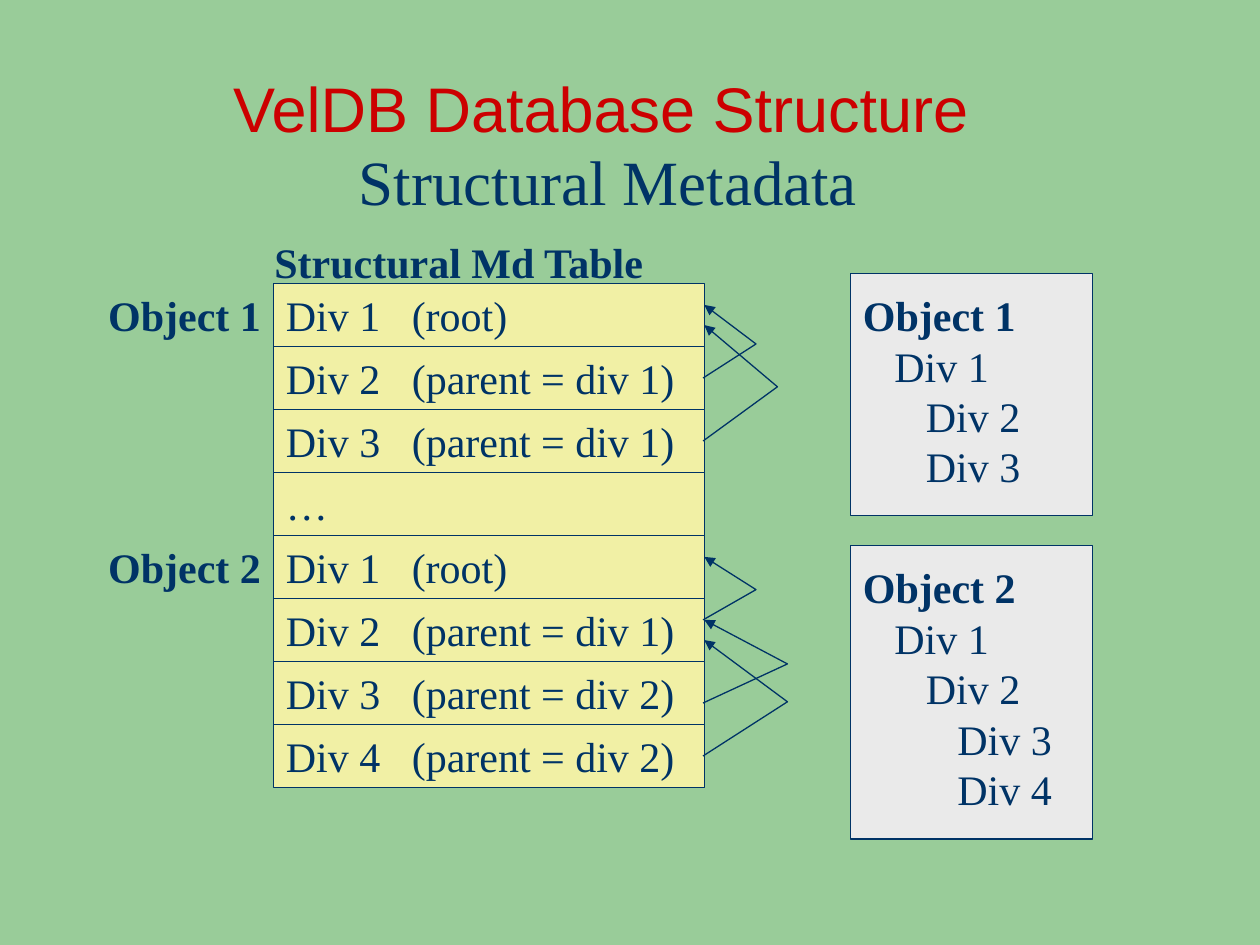
from pptx import Presentation
from pptx.dml.color import RGBColor
from pptx.enum.shapes import MSO_SHAPE
from pptx.enum.text import MSO_ANCHOR, MSO_AUTO_SIZE, PP_ALIGN
from pptx.oxml.ns import qn
from pptx.util import Inches, Pt
from lxml import etree

GREEN = RGBColor(0x99, 0xCC, 0x99)
NAVY = RGBColor(0x00, 0x33, 0x66)
RED = RGBColor(0xCC, 0x00, 0x00)
CREAM = RGBColor(0xF1, 0xF0, 0xA5)
GREY = RGBColor(0xEA, 0xEA, 0xEA)
RECT = MSO_SHAPE.RECTANGLE
TOP, MIDDLE = MSO_ANCHOR.TOP, MSO_ANCHOR.MIDDLE
LEFT, RIGHT = PP_ALIGN.LEFT, PP_ALIGN.RIGHT
FIXED = MSO_AUTO_SIZE.NONE

ROW_X, ROW_Y, ROW_W, ROW_H = 2.17, 2.25, 3.42, 0.5
NOTE_X, EDGE = 3.17, 5.58
STEP = 0.25

ROWS = [
    ("Div 1", "(root)"),
    ("Div 2", "(parent = div 1)"),
    ("Div 3", "(parent = div 1)"),
    ("…", ""),
    ("Div 1", "(root)"),
    ("Div 2", "(parent = div 1)"),
    ("Div 3", "(parent = div 2)"),
    ("Div 4", "(parent = div 2)"),
]
ARROWS = [
    (3, (6, 2.73), 2.42),
    (3.5, (6.17, 3.07), 2.58),
    (4.92, (6, 4.68), 4.42),
    (5.58, (6.25, 5.27), 4.92),
    (6, (6.25, 5.57), 5.08),
]
CARDS = [
    (2.17, 1.92, [("Object 1", 0), ("Div 1", 1), ("Div 2", 2), ("Div 3", 2)]),
    (4.33, 2.33, [("Object 2", 0), ("Div 1", 1), ("Div 2", 2),
                  ("Div 3", 3), ("Div 4", 3)]),
]


def write(para, text, size=24, font="Times New Roman", color=NAVY,
          bold=False, align=LEFT, level=0):
    para.alignment = align
    if level:
        props = para._p.get_or_add_pPr()
        props.set("marL", str(Inches(STEP * level)))
        props.set("indent", "0")
    run = para.add_run()
    run.text = text
    run.font.size = Pt(size)
    run.font.name = font
    run.font.bold = bold
    run.font.color.rgb = color


def set_frame(shape, anchor=TOP, wrap=False):
    frame = shape.text_frame
    frame.auto_size = FIXED
    frame.word_wrap = wrap
    frame.vertical_anchor = anchor
    return frame


def add_label(shapes, text, x, y, w, h=0.5, **style):
    box = shapes.add_textbox(Inches(x), Inches(y), Inches(w), Inches(h))
    write(set_frame(box).paragraphs[0], text, **style)


def add_box(shapes, x, y, w, h, fill):
    box = shapes.add_shape(RECT, Inches(x), Inches(y), Inches(w), Inches(h))
    box.shadow.inherit = False
    box.fill.solid()
    box.fill.fore_color.rgb = fill
    box.line.color.rgb = NAVY
    box.line.width = Pt(0.75)
    return box


def add_title(slide, text):
    title = slide.shapes.title
    title.left, title.top = Inches(1.75), Inches(0.5)
    title.width, title.height = Inches(6.28), Inches(0.7)
    write(set_frame(title).paragraphs[0], text, size=36, font="Arial", color=RED)


def add_row(shapes, name, note, y):
    box = add_box(shapes, ROW_X, y, ROW_W, ROW_H, CREAM)
    write(set_frame(box, MIDDLE, True).paragraphs[0], name)
    if note:
        add_label(shapes, note, NOTE_X, y, 0.96 if note == "(root)" else 2.28)


def add_arrow(shapes, start, bend, end):
    build = shapes.build_freeform(Inches(EDGE), Inches(start))
    points = [bend, (EDGE + 0.01, end)]
    build.add_line_segments([(Inches(x), Inches(y)) for x, y in points], close=False)
    arrow = build.convert_to_shape()
    arrow.shadow.inherit = False
    arrow.fill.background()
    arrow.line.color.rgb = NAVY
    arrow.line.width = Pt(0.75)
    etree.SubElement(arrow.line._get_or_add_ln(), qn("a:tailEnd"), type="triangle")


def add_card(shapes, y, h, items):
    group = shapes.add_group_shape().shapes
    add_box(group, 6.75, y, 1.92, h, GREY)
    box = group.add_textbox(Inches(6.75), Inches(y + 0.08),
                            Inches(1.92), Inches(0.1 + 0.4 * len(items)))
    frame = set_frame(box, wrap=True)
    for i, (text, level) in enumerate(items):
        para = frame.add_paragraph() if i else frame.paragraphs[0]
        write(para, text, bold=level == 0, level=level)


def main():
    deck = Presentation()
    deck.slide_width, deck.slide_height = Inches(10), Inches(7.5)
    slide = deck.slides.add_slide(deck.slide_layouts[5])
    slide.background.fill.solid()
    slide.background.fill.fore_color.rgb = GREEN
    shapes = slide.shapes

    add_title(slide, "VelDB Database Structure")
    add_label(shapes, "Structural Metadata", 2.75, 1.08, 4.15, 0.7, size=36)
    for i, (name, note) in enumerate(ROWS):
        add_row(shapes, name, note, ROW_Y + i * ROW_H)
    for text, row in [("Object 1", 0), ("Object 2", 4)]:
        add_label(shapes, text, 0.75, ROW_Y + row * ROW_H, 1.42,
                  bold=True, align=RIGHT)
    for start, bend, end in ARROWS:
        add_arrow(shapes, start, bend, end)
    for y, h, items in CARDS:
        add_card(shapes, y, h, items)
    add_label(shapes, "Structural Md Table", 2.08, 1.83, 3.16, bold=True)
    deck.save("out.pptx")


if __name__ == "__main__":
    main()
